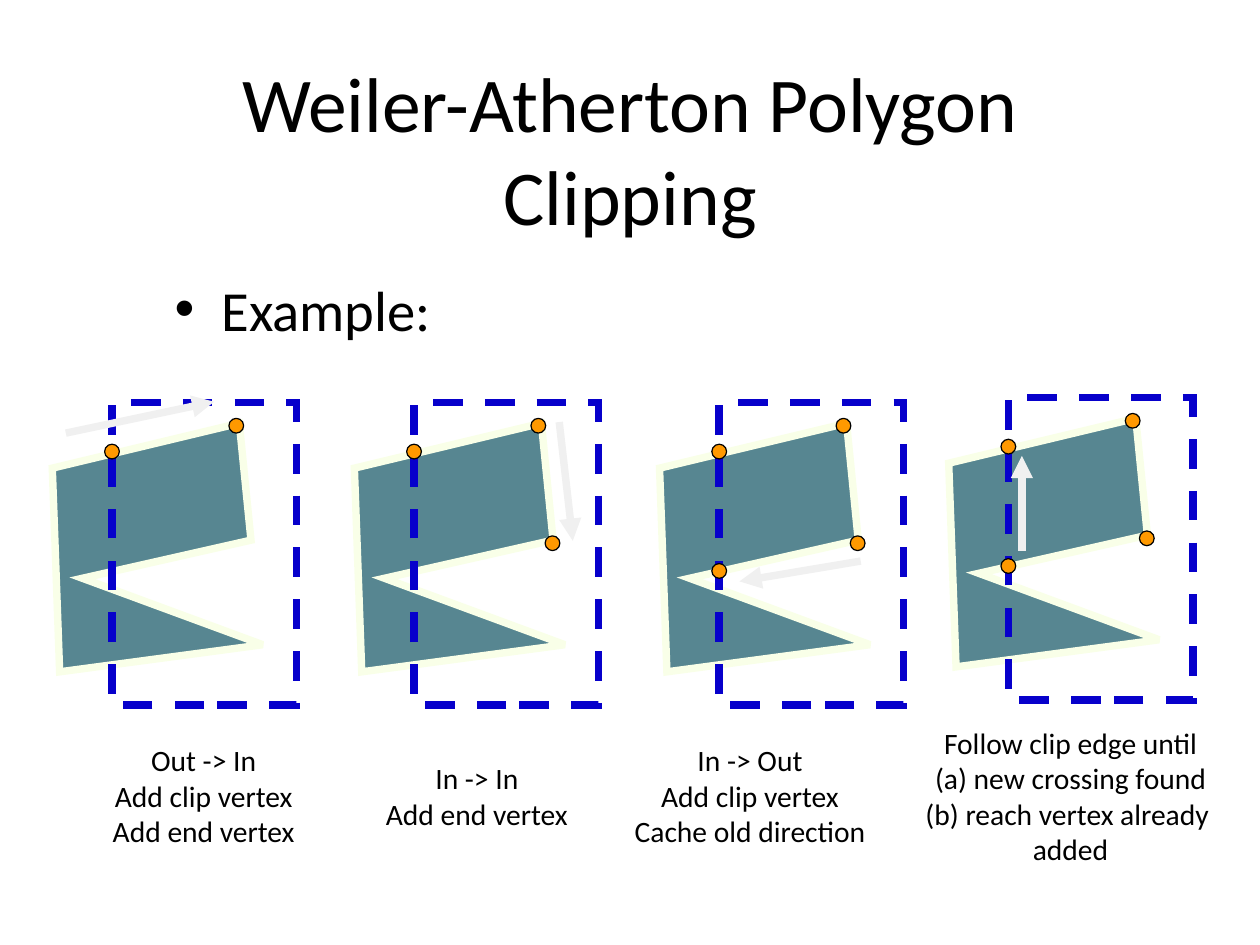
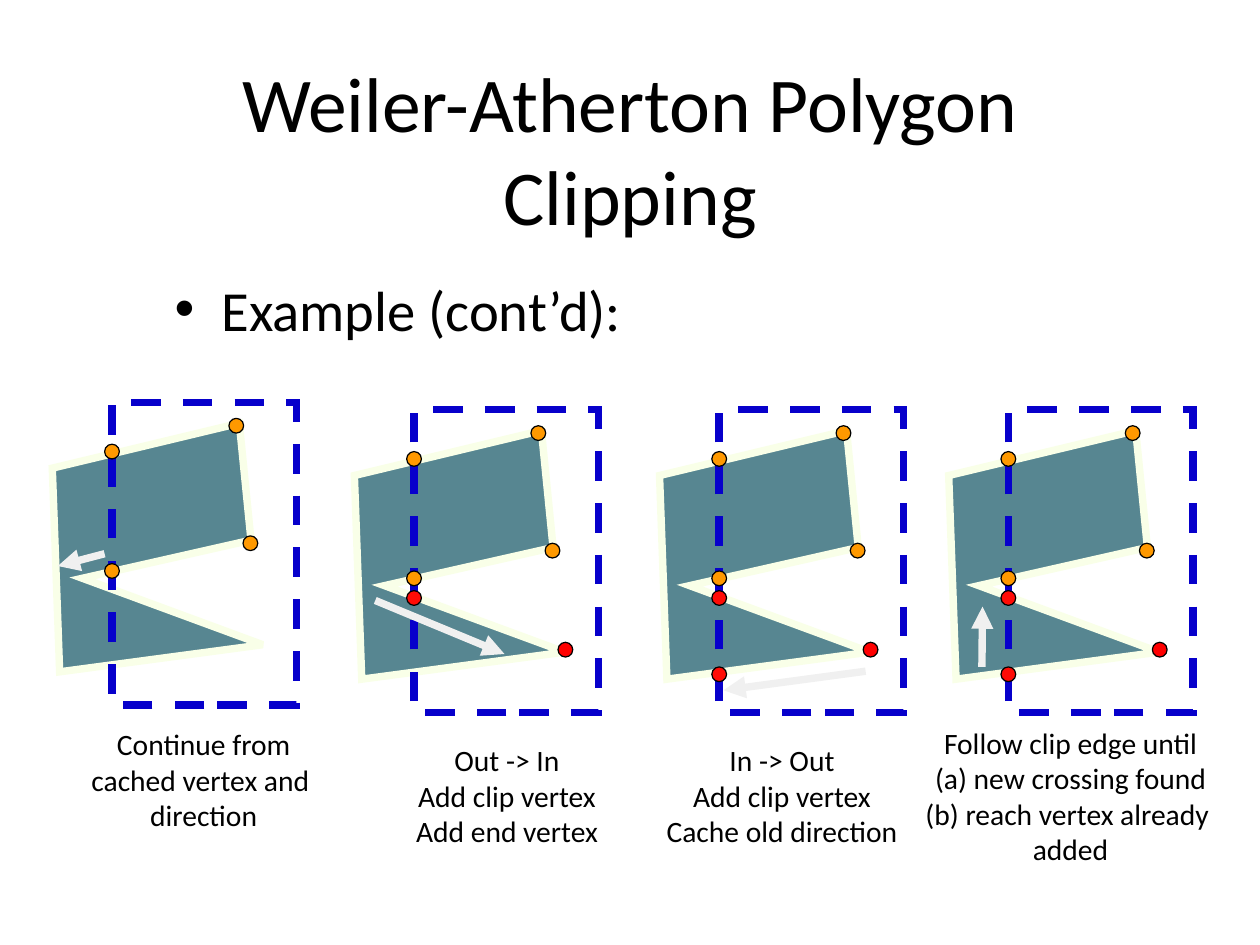
from dataclasses import dataclass

from lxml import etree
from pptx import Presentation
from pptx.dml.color import RGBColor
from pptx.enum.dml import MSO_LINE
from pptx.enum.shapes import MSO_CONNECTOR, MSO_SHAPE
from pptx.enum.text import MSO_ANCHOR, MSO_AUTO_SIZE, PP_ALIGN
from pptx.oxml.ns import qn
from pptx.util import Pt

RECT = MSO_SHAPE.RECTANGLE
OVAL = MSO_SHAPE.OVAL
LINE = MSO_CONNECTOR.STRAIGHT
DASH = MSO_LINE.DASH
TOP = MSO_ANCHOR.TOP
MIDDLE = MSO_ANCHOR.MIDDLE
LEFT = PP_ALIGN.LEFT
CENTER = PP_ALIGN.CENTER
GROW = MSO_AUTO_SIZE.SHAPE_TO_FIT_TEXT
FIXED = MSO_AUTO_SIZE.NONE

Point = tuple[float, float]


@dataclass(frozen=True)
class Theme:
    font: str = "Calibri"
    bullet: str = "Arial"
    ink: str = "000000"
    fill: str = "578691"
    edge: str = "F9FFE8"
    clip: str = "0700CB"
    arrow: str = "F0F0F0"
    orange: str = "FF9900"
    cross: str = "FF0C06"
    end: str = "FF0000"
    title: float = 63
    head: float = 46
    label: float = 24
    thick: float = 6
    thin: float = 1


@dataclass(frozen=True)
class Dot:
    x: float
    y: float
    color: str


@dataclass(frozen=True)
class Label:
    mid: float
    width: float
    paras: tuple[str, ...]
    y: float = 646.5


@dataclass(frozen=True)
class Panel:
    top: float
    start: Point
    stop: Point
    dots: int
    label: Label


@dataclass(frozen=True)
class Page:
    head: str
    panels: tuple[Panel, ...]


THEME = Theme()
WIDTH, HEIGHT = 1024, 768
CLIP_W, CLIP_H = 150, 246
DOT = 12
PITCH = 28.8
LEFTS = (91, 336.5, 584.5, 819.5)
SHAPE = ((-48.5, 53.5), (103.5, 17), (113, 112), (-24, 143), (122.5, 197), (-42.5, 219))
DOTS = (
    Dot(0, 40, THEME.orange),
    Dot(101, 19, THEME.orange),
    Dot(112.5, 114.5, THEME.orange),
    Dot(0, 137, THEME.orange),
    Dot(0, 153, THEME.cross),
    Dot(123, 195, THEME.end),
    Dot(0, 215, THEME.cross),
)

ENTER = ("Out -> In\vAdd clip vertex", "Add end vertex")
STAY = ("In -> In", "Add end vertex")
LEAVE = ("In -> Out", "Add clip vertex", "Cache old direction")
RESUME = ("Continue from\vcached vertex and \vdirection",)
FOLLOW = Label(870, 271, (
    "Follow clip edge until",
    "(a) new crossing found",
    "(b) reach vertex already \vadded",
))

TITLE = "Weiler-Atherton Polygon Clipping"
PAGES = (
    Page("Example:", (
        Panel(327, (-37.5, 25), (83, -0.5), 2, Label(165.5, 171, ENTER)),
        Panel(327, (118, 16), (129, 112.5), 3, Label(387.5, 171, STAY)),
        Panel(327, (115, 129), (16.5, 145.5), 4, Label(609.5, 217, LEAVE)),
        Panel(323, (11, 124.5), (11, 47.5), 4, FOLLOW),
    )),
    Page("Example (cont’d):", (
        Panel(327, (-6, 123), (-44, 133), 4, Label(165.5, 212, RESUME, 633.5)),
        Panel(333, (-31.5, 155), (73.5, 198.5), 6, Label(412, 171, ENTER)),
        Panel(333, (119, 212.5), (3.5, 228), 7, Label(635.5, 217, LEAVE)),
        Panel(333, (-21.5, 209), (-21, 160), 7, FOLLOW),
    )),
)


def add_bullet(para) -> None:
    props = para._p.get_or_add_pPr()
    props.set("marL", str(Pt(70)))
    props.set("indent", str(Pt(-38)))
    etree.SubElement(props, qn("a:buFont"), typeface=THEME.bullet)
    etree.SubElement(props, qn("a:buChar"), char="•")


def add_text(shapes, paras: tuple[str, ...], x: float, y: float, w: float, h: float, *,
             size: float, align=CENTER, anchor=MIDDLE, inset: Point = (0, 0),
             wrap: bool = True, bullet: bool = False) -> None:
    box = shapes.add_textbox(Pt(x), Pt(y), Pt(w), Pt(h))
    frame = box.text_frame
    frame.word_wrap = wrap
    frame.auto_size = FIXED if wrap else GROW
    frame.vertical_anchor = anchor
    frame.margin_left = frame.margin_right = Pt(inset[0])
    frame.margin_top = frame.margin_bottom = Pt(inset[1])
    frame.text = "\n".join(paras)
    for para in frame.paragraphs:
        para.alignment = align
        if bullet:
            add_bullet(para)
        for run in para.runs:
            run.font.name = THEME.font
            run.font.size = Pt(size)
            run.font.color.rgb = RGBColor.from_string(THEME.ink)


def set_line(line, color: str, width: float) -> None:
    line.color.rgb = RGBColor.from_string(color)
    line.width = Pt(width)


def set_fill(shape, color: str) -> None:
    shape.fill.solid()
    shape.fill.fore_color.rgb = RGBColor.from_string(color)


def set_miter(line) -> None:
    etree.SubElement(line._get_or_add_ln(), qn("a:miter"), lim="800000")


def draw_shape(shapes, x: float, y: float) -> None:
    first, *rest = [(Pt(x + dx), Pt(y + dy)) for dx, dy in SHAPE]
    pen = shapes.build_freeform(*first)
    pen.add_line_segments(rest, close=True)
    shape = pen.convert_to_shape()
    shape.shadow.inherit = False
    set_fill(shape, THEME.fill)
    set_line(shape.line, THEME.edge, THEME.thick)
    set_miter(shape.line)


def draw_clip(shapes, x: float, y: float) -> None:
    clip = shapes.add_shape(RECT, Pt(x), Pt(y), Pt(CLIP_W), Pt(CLIP_H))
    clip.shadow.inherit = False
    clip.fill.background()
    set_line(clip.line, THEME.clip, THEME.thick)
    clip.line.dash_style = DASH
    set_miter(clip.line)


def draw_arrow(shapes, x: float, y: float, start: Point, stop: Point) -> None:
    arrow = shapes.add_connector(LINE, Pt(x + start[0]), Pt(y + start[1]),
                                 Pt(x + stop[0]), Pt(y + stop[1]))
    set_line(arrow.line, THEME.arrow, THEME.thick)
    etree.SubElement(arrow.line._get_or_add_ln(), qn("a:tailEnd"), type="triangle")
    etree.SubElement(arrow._element.spPr, qn("a:effectLst"))


def draw_dot(shapes, x: float, y: float, dot: Dot) -> None:
    oval = shapes.add_shape(OVAL, Pt(x + dot.x - DOT / 2), Pt(y + dot.y - DOT / 2),
                            Pt(DOT), Pt(DOT))
    oval.shadow.inherit = False
    set_fill(oval, dot.color)
    set_line(oval.line, THEME.ink, THEME.thin)


def draw_label(shapes, label: Label) -> None:
    rows = sum(para.count("\v") + 1 for para in label.paras)
    high = rows * PITCH
    add_text(shapes, label.paras, label.mid - label.width / 2, label.y - high / 2,
             label.width, high, size=THEME.label, wrap=False)


def draw_panel(slide, x: float, panel: Panel) -> None:
    shapes = slide.shapes.add_group_shape().shapes
    draw_shape(shapes, x, panel.top)
    draw_clip(shapes, x, panel.top)
    draw_arrow(shapes, x, panel.top, panel.start, panel.stop)
    for dot in DOTS[:panel.dots]:
        draw_dot(shapes, x, panel.top, dot)
    draw_label(shapes, panel.label)


def draw_page(deck, page: Page) -> None:
    slide = deck.slides.add_slide(deck.slide_layouts[6])
    add_text(slide.shapes, (TITLE,), 100, 20, 824, 200, size=THEME.title, inset=(10, 5))
    add_text(slide.shapes, (page.head,), 100, 218, 824, 87, size=THEME.head,
             align=LEFT, anchor=TOP, inset=(10, 5), bullet=True)
    for x, panel in zip(LEFTS, page.panels):
        draw_panel(slide, x, panel)


def main() -> None:
    deck = Presentation()
    deck.slide_width, deck.slide_height = Pt(WIDTH), Pt(HEIGHT)
    for page in PAGES:
        draw_page(deck, page)
    deck.save("out.pptx")


if __name__ == "__main__":
    main()
